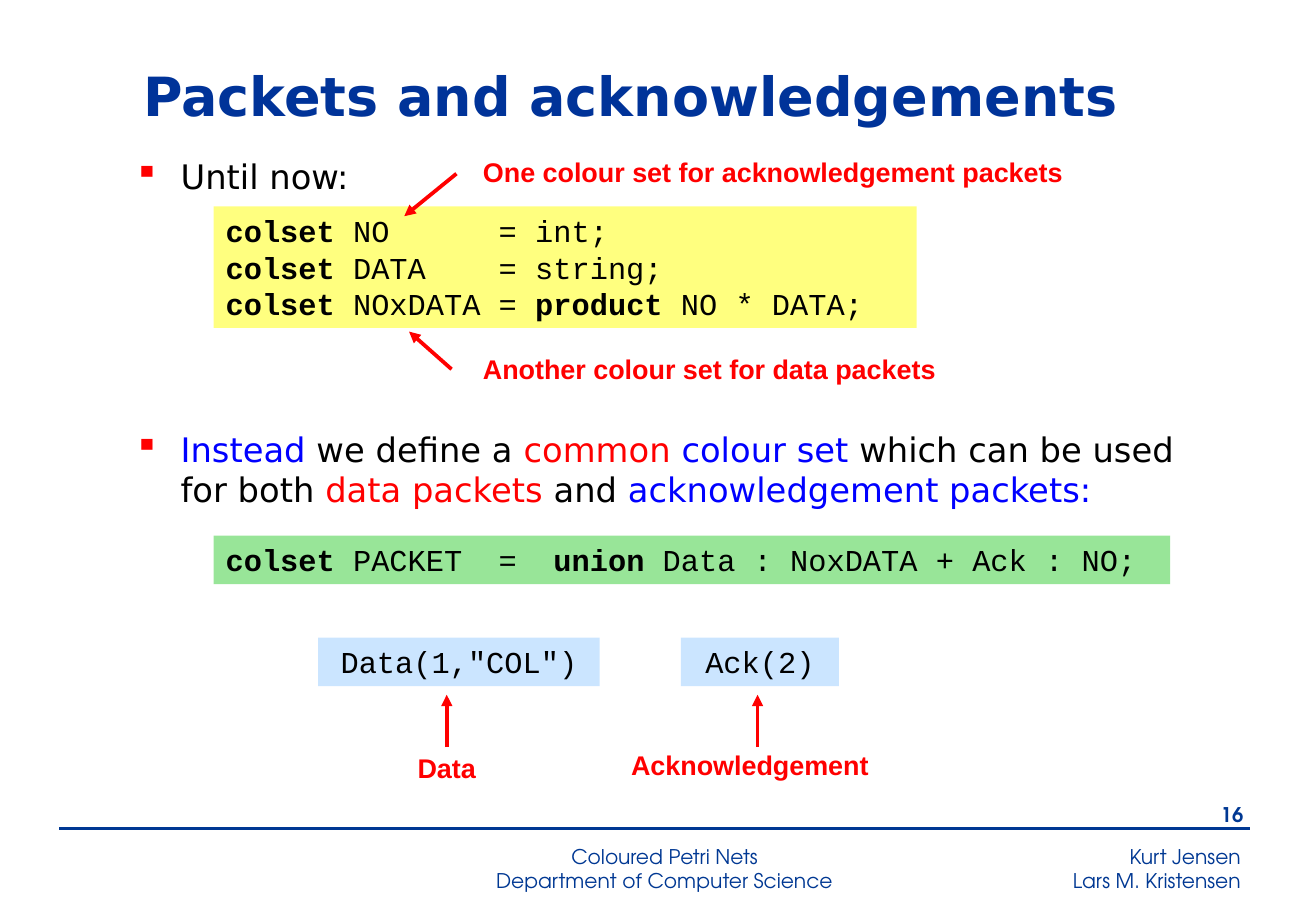
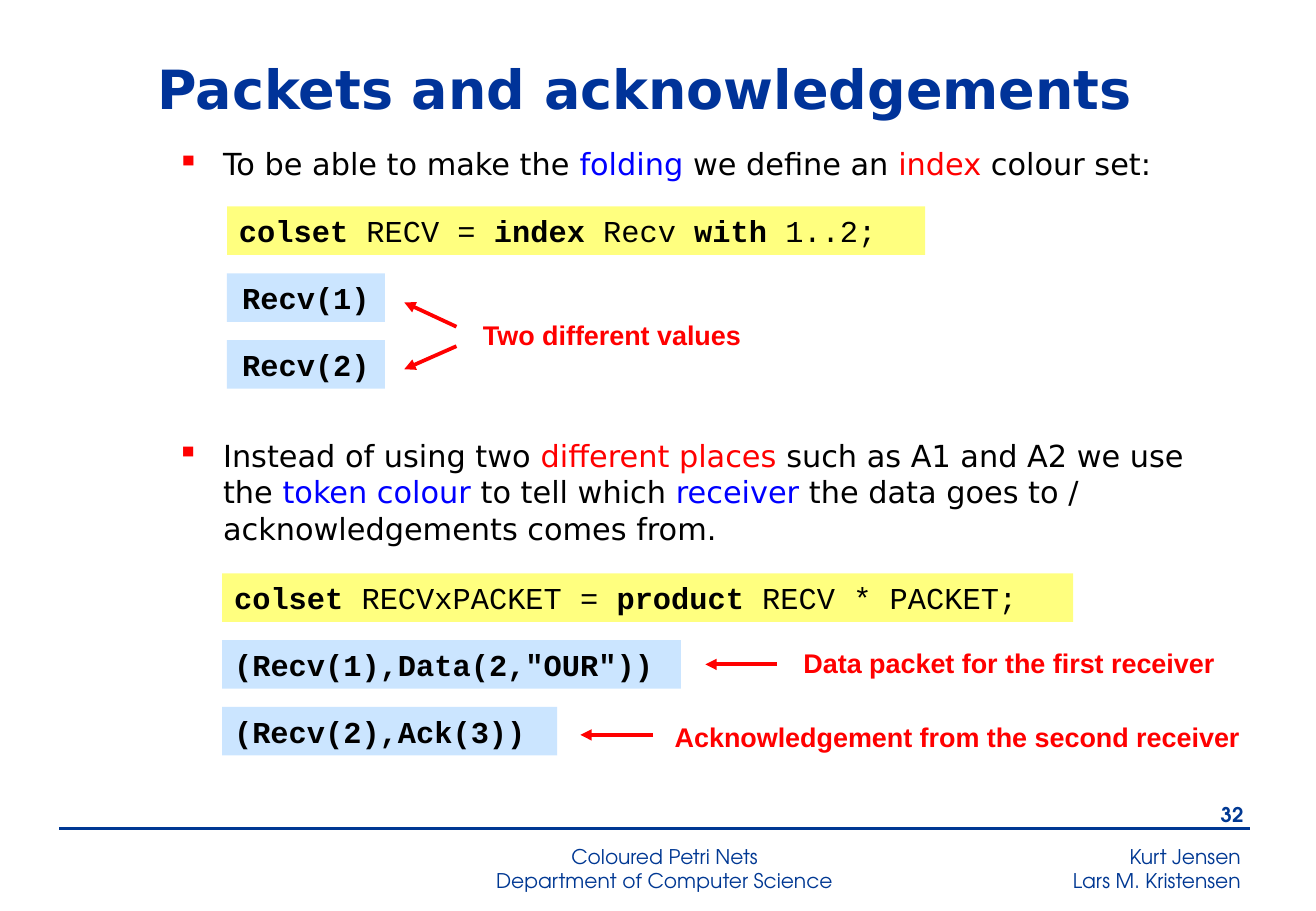
from dataclasses import dataclass, field

import pptx
import pptx.dml.color
import pptx.enum.shapes
import pptx.enum.text
import pptx.oxml
import pptx.oxml.ns
import pptx.presentation
import pptx.shapes.base
import pptx.slide
import pptx.text.text
import pptx.util

Inches = pptx.util.Inches
Slide = pptx.slide.Slide
LEFT = pptx.enum.text.PP_ALIGN.LEFT
CENTER = pptx.enum.text.PP_ALIGN.CENTER
RIGHT = pptx.enum.text.PP_ALIGN.RIGHT
TOP = pptx.enum.text.MSO_ANCHOR.TOP
MIDDLE = pptx.enum.text.MSO_ANCHOR.MIDDLE


@dataclass(frozen=True)
class Style:
    font: str
    size: int
    color: str
    bold: bool = False


@dataclass(frozen=True)
class Theme:
    blue: str = "0000FF"
    red: str = "FF0000"
    rule: str = "003893"
    yellow: str = "FFFF00"
    green: str = "33CC33"
    sky: str = "99CCFF"
    fill_opacity: int = 50
    rule_width: float = 1.5
    arrow_width: float = 2.25
    bullet_indent: float = 0.38
    title: Style = Style("DejaVu Sans", 32, "003399", True)
    large_body: Style = Style("DejaVu Sans", 20, "000000")
    body: Style = Style("DejaVu Sans", 18, "000000")
    code: Style = Style("Courier New", 18, "000000")
    label: Style = Style("Arial", 16, "FF0000", True)
    footer: Style = Style("TeX Gyre Adventor", 12, "003893")
    number: Style = Style("TeX Gyre Adventor", 12, "003893", True)


THEME = Theme()


@dataclass(frozen=True)
class Span:
    """A piece of text that may depart from the style of its paragraph."""
    text: str
    color: str | None = None
    bold: bool = False


Line = list[Span]


@dataclass(frozen=True)
class Area:
    left: float
    top: float
    width: float
    height: float

    def lengths(self) -> list[pptx.util.Length]:
        return [Inches(value) for value in (self.left, self.top, self.width, self.height)]


@dataclass(frozen=True)
class CodeBox:
    area: Area
    color: str
    lines: list[Line]
    alignment: pptx.enum.text.PP_ALIGN = LEFT


@dataclass(frozen=True)
class Label:
    area: Area
    text: str
    alignment: pptx.enum.text.PP_ALIGN = LEFT


@dataclass(frozen=True)
class Arrow:
    start: tuple[float, float]
    end: tuple[float, float]


@dataclass(frozen=True)
class Bullet:
    area: Area
    line: Line


@dataclass(frozen=True)
class Page:
    number: int
    title_area: Area
    body_style: Style
    bullets: list[Bullet]
    code_boxes: list[CodeBox]
    labels: list[Label]
    arrows: list[Arrow] = field(default_factory=list)


def plain(text: str) -> Span:
    return Span(text)


def blue(text: str) -> Span:
    return Span(text, color=THEME.blue)


def red(text: str) -> Span:
    return Span(text, color=THEME.red)


def bold(text: str) -> Span:
    return Span(text, bold=True)


def rgb(color: str) -> pptx.dml.color.RGBColor:
    return pptx.dml.color.RGBColor.from_string(color)


def xml(tag: str, attributes: str = "", children: str = ""):
    namespace = pptx.oxml.ns.nsdecls("a")
    return pptx.oxml.parse_xml(f"<a:{tag} {namespace} {attributes}>{children}</a:{tag}>")


def write(shape: pptx.shapes.base.BaseShape, lines: list[Line], style: Style,
          alignment: pptx.enum.text.PP_ALIGN = LEFT,
          anchor: pptx.enum.text.MSO_ANCHOR = TOP) -> None:
    frame = shape.text_frame
    frame.word_wrap = True
    frame.vertical_anchor = anchor
    frame.text = "\n".join("" for _ in lines)
    for paragraph, line in zip(frame.paragraphs, lines):
        paragraph.alignment = alignment
        for span in line:
            run = paragraph.add_run()
            run.text = span.text
            run.font.name = style.font
            run.font.size = pptx.util.Pt(style.size)
            run.font.bold = style.bold or span.bold
            run.font.color.rgb = rgb(span.color or style.color)


def add_text(slide: Slide, area: Area, lines: list[Line], style: Style,
             alignment: pptx.enum.text.PP_ALIGN = LEFT,
             anchor: pptx.enum.text.MSO_ANCHOR = TOP) -> pptx.shapes.base.BaseShape:
    shape = slide.shapes.add_textbox(*area.lengths())
    write(shape, lines, style, alignment, anchor)
    return shape


def add_bullet(slide: Slide, bullet: Bullet, style: Style) -> None:
    shape = add_text(slide, bullet.area, [bullet.line], style)
    indent = Inches(THEME.bullet_indent)
    properties = shape.text_frame.paragraphs[0]._p.get_or_add_pPr()
    properties.set("marL", str(indent))
    properties.set("indent", str(-indent))
    properties.append(xml("buClr", children=f'<a:srgbClr val="{THEME.red}"/>'))
    properties.append(xml("buChar", 'char="▪"'))


def add_code_box(slide: Slide, box: CodeBox) -> None:
    shape = slide.shapes.add_shape(pptx.enum.shapes.MSO_SHAPE.RECTANGLE, *box.area.lengths())
    shape.shadow.inherit = False
    shape.line.fill.background()
    shape.fill.solid()
    shape.fill.fore_color.rgb = rgb(box.color)
    color_element = shape._element.spPr.find(".//" + pptx.oxml.ns.qn("a:srgbClr"))
    color_element.append(xml("alpha", f'val="{THEME.fill_opacity * 1000}"'))
    write(shape, box.lines, THEME.code, box.alignment)


def add_line(slide: Slide, line: Arrow, color: str, width: float, arrowhead: bool) -> None:
    connector = slide.shapes.add_connector(
        pptx.enum.shapes.MSO_CONNECTOR.STRAIGHT,
        *(Inches(value) for value in line.start + line.end))
    connector.line.color.rgb = rgb(color)
    connector.line.width = pptx.util.Pt(width)
    if arrowhead:
        connector.line._get_or_add_ln().append(xml("tailEnd", 'type="triangle"'))
    connector._element.spPr.append(xml("effectLst"))


def add_footer(slide: Slide, number: int) -> None:
    add_text(slide, Area(6.95, 6.9, 3.37, 0.5),
             [[plain("Kurt Jensen")], [plain("Lars M. Kristensen")]], THEME.footer, RIGHT)
    add_text(slide, Area(9.63, 6.56, 0.71, 0.33), [[plain(str(number))]], THEME.number, RIGHT)
    add_line(slide, Arrow((0.49, 6.82), (10.3, 6.82)), THEME.rule, THEME.rule_width, False)
    add_text(slide, Area(3.41, 6.9, 4.13, 0.47),
             [[plain("Coloured Petri Nets")], [plain("Department of Computer Science")]],
             THEME.footer, CENTER)


def add_page(presentation: pptx.presentation.Presentation, page: Page) -> None:
    slide = presentation.slides.add_slide(presentation.slide_layouts[6])
    add_footer(slide, page.number)
    add_text(slide, page.title_area, [[plain("Packets and acknowledgements")]],
             THEME.title, anchor=MIDDLE)
    for box in page.code_boxes:
        add_code_box(slide, box)
    for label in page.labels:
        add_text(slide, label.area, [[plain(label.text)]], THEME.label, label.alignment)
    for arrow in page.arrows:
        add_line(slide, arrow, THEME.red, THEME.arrow_width, True)
    for bullet in page.bullets:
        add_bullet(slide, bullet, page.body_style)


PAGES = [
    Page(
        number=16,
        title_area=Area(1.08, 0.44, 8.43, 0.69),
        body_style=THEME.large_body,
        bullets=[
            Bullet(Area(1.01, 1.23, 2.24, 0.59), [plain("Until now:")]),
            Bullet(Area(1.01, 3.48, 8.94, 0.75), [
                blue("Instead"), plain(" we define a "), red("common "), blue("colour set "),
                plain("which can be used for both "), red("data packets"), plain(" and "),
                blue("acknowledgement packets:")]),
        ],
        code_boxes=[
            CodeBox(Area(1.76, 1.7, 5.79, 1), THEME.yellow, [
                [bold("colset"), plain(" NO      = int;")],
                [bold("colset"), plain(" DATA    = string;")],
                [bold("colset"), plain(" NOxDATA = "), bold("product"), plain(" NO * DATA;")]]),
            CodeBox(Area(1.76, 4.41, 7.88, 0.4), THEME.green, [
                [bold("colset"), plain(" PACKET  =  "), bold("union"),
                 plain(" Data : NoxDATA + Ack : NO;")]]),
            CodeBox(Area(2.62, 5.25, 2.32, 0.4), THEME.sky, [[plain('Data(1,"COL")')]], CENTER),
            CodeBox(Area(5.61, 5.25, 1.3, 0.4), THEME.sky, [[plain("Ack(2)")]], CENTER),
        ],
        labels=[
            Label(Area(3.88, 1.23, 5.95, 0.37), "One colour set for acknowledgement packets"),
            Label(Area(3.88, 2.85, 5.43, 0.37), "Another colour set for data packets"),
            Label(Area(5.1, 6.11, 2.24, 0.37), "Acknowledgement"),
            Label(Area(3.21, 6.14, 0.94, 0.37), "Data", CENTER),
        ],
        arrows=[
            Arrow((3.76, 1.43), (3.33, 1.78)),
            Arrow((3.72, 3.04), (3.37, 2.73)),
            *(Arrow((x, 6.15), (x, 5.72)) for x in (3.68, 6.24)),
        ],
    ),
    Page(
        number=32,
        title_area=Area(1.2, 0.38, 8.43, 0.69),
        body_style=THEME.body,
        bullets=[
            Bullet(Area(1.36, 1.15, 8.39, 0.47), [
                plain("To be able to make the "), blue("folding"), plain(" we define an "),
                red("index"), plain(" colour set:")]),
            Bullet(Area(1.36, 3.55, 8.66, 1.02), [
                plain("Instead of using two "), red("different places"),
                plain(" such as A1 and A2 we use the "), blue("token colour "),
                plain("to tell which "), blue("receiver"),
                plain(" the data goes to / acknowledgements comes from.")]),
        ],
        code_boxes=[
            CodeBox(Area(1.87, 1.7, 5.75, 0.4), THEME.yellow, [
                [bold("colset"), plain(" RECV = "), bold("index"), plain(" Recv "),
                 bold("with"), plain(" 1..2;")]]),
            *(CodeBox(Area(1.87, 1.7 + 0.55 * index, 1.3, 0.4), THEME.sky,
                      [[bold(f"Recv({index})")]], CENTER) for index in (1, 2)),
            CodeBox(Area(1.83, 4.72, 7.01, 0.4), THEME.yellow, [
                [bold("colset"), plain(" RECVxPACKET = "), bold("product"),
                 plain(" RECV * PACKET;")]]),
            CodeBox(Area(1.83, 5.27, 3.78, 0.4), THEME.sky, [[bold('(Recv(1),Data(2,"OUR"))')]]),
            CodeBox(Area(1.83, 5.82, 2.76, 0.4), THEME.sky, [[bold("(Recv(2),Ack(3))")]]),
        ],
        labels=[
            Label(Area(3.88, 2.57, 2.48, 0.37), "Two different values"),
            Label(Area(6.52, 5.27, 3.62, 0.37), "Data packet for the first receiver"),
            Label(Area(5.46, 5.88, 4.96, 0.37), "Acknowledgement from the second receiver"),
        ],
        arrows=[
            Arrow((3.76, 2.69), (3.33, 2.49)),
            Arrow((3.76, 2.85), (3.33, 3.04)),
            Arrow((6.4, 5.47), (5.81, 5.47)),
            Arrow((5.38, 6.05), (4.78, 6.05)),
        ],
    ),
]


def main() -> None:
    presentation = pptx.Presentation()
    presentation.slide_width = Inches(10.84)
    presentation.slide_height = Inches(7.5)
    for page in PAGES:
        add_page(presentation, page)
    presentation.save("out.pptx")


if __name__ == "__main__":
    main()
